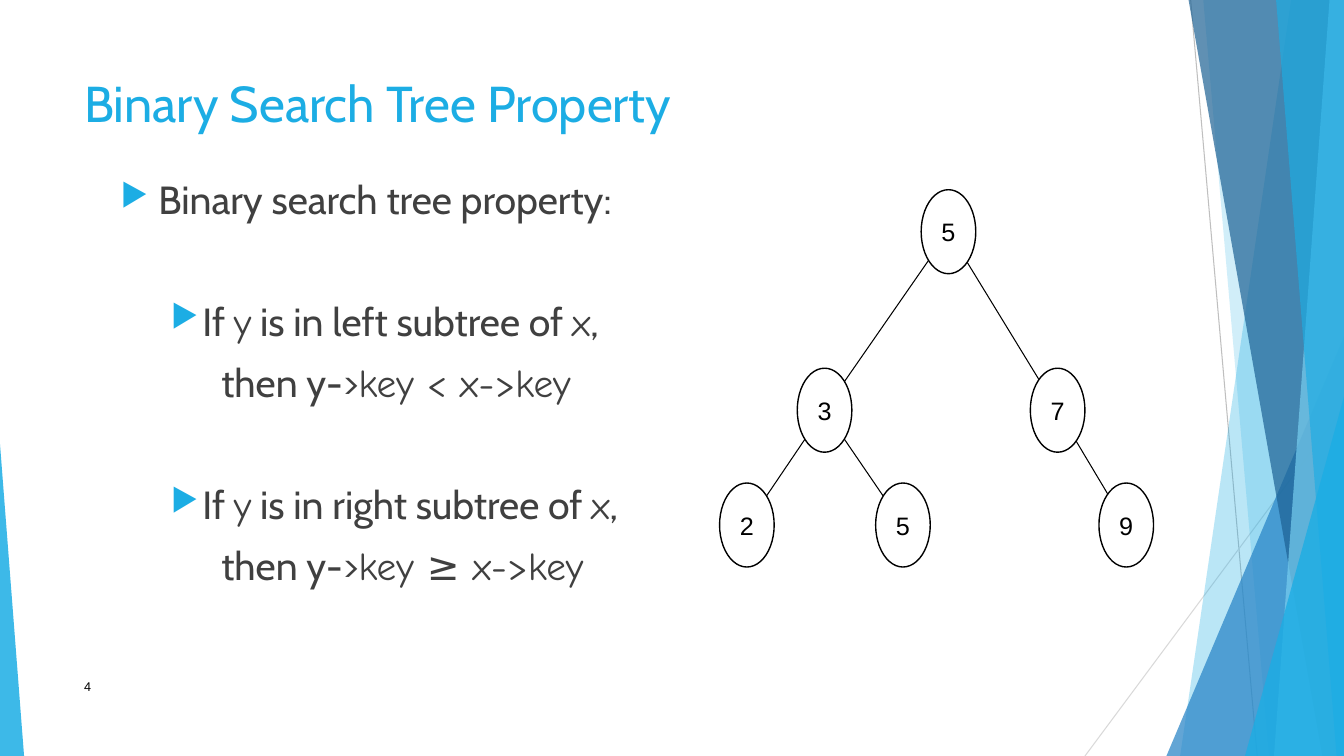
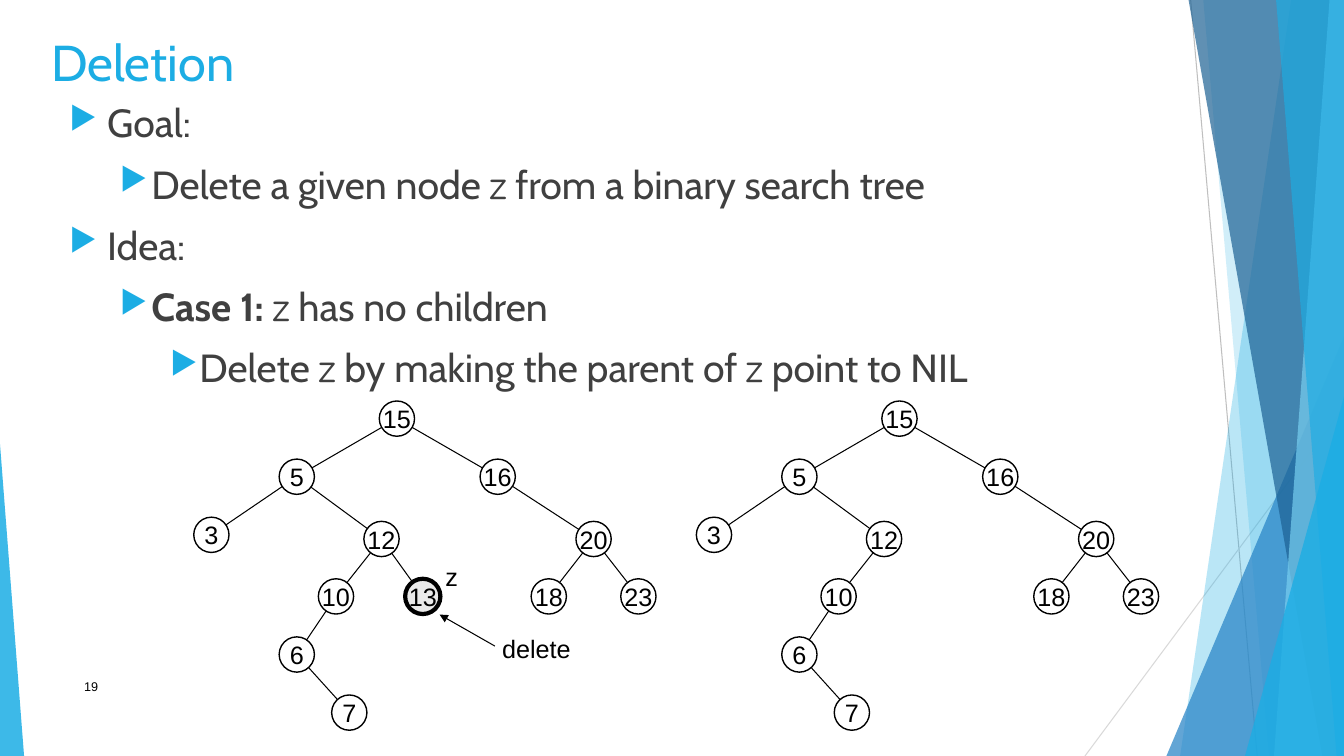
"""Build two slides on binary search trees."""
from lxml import etree
from pptx import Presentation
from pptx.dml.color import RGBColor
from pptx.enum.shapes import MSO_CONNECTOR, MSO_SHAPE
from pptx.enum.text import MSO_ANCHOR, PP_ALIGN
from pptx.oxml.ns import qn
from pptx.util import Pt

LINE = MSO_CONNECTOR.STRAIGHT
OVAL = MSO_SHAPE.OVAL
WEDGE = MSO_SHAPE.ISOSCELES_TRIANGLE
TOP = MSO_ANCHOR.TOP
MID = MSO_ANCHOR.MIDDLE
LEFT = PP_ALIGN.LEFT
MIDDLE = PP_ALIGN.CENTER

HUES = {
    "sky": "1CADE4", "blue": "2683C6", "navy": "1D6294", "pale": "77CEEF",
    "text": "404040", "black": "000000", "white": "FFFFFF",
    "mark": "EAEAEA", "rule": "BFBFBF", "faint": "D9D9D9",
}
RGB = {name: RGBColor.from_string(code) for name, code in HUES.items()}
WIDE, HIGH = 960, 540

# fmt: off
BANDS = [
    ("sky", 30, None, [(922.3, 0), (960, 0), (960, 540), (843, 540)]),
    ("sky", 20, None, [(859.5, 0), (960, 0), (960, 540), (906.5, 540)]),
    ("blue", 72, 1, (833, 240.5, 127, 300)),
    ("navy", 70, None, [(849, 0), (960, 0), (960, 540), (944.6, 540)]),
    ("pale", 70, None, [(949.7, 0), (960, 0), (960, 540), (910, 540)]),
    ("sky", 65, None, [(911.5, 0), (960, 0), (960, 540), (954.7, 540)]),
    ("sky", 80, 1, (889.2, 283.5, 70.8, 257)),
    ("sky", 85, 0, (0, 317, 17.3, 224)),
]
# fmt: on
STEPS = [(27, 27), (58.5, 22.5), (90, 18)]

SMALL = [
    ("5", 677.5, 165.5, None), ("3", 589, 293, 0), ("7", 755.5, 293, 0),
    ("2", 533.5, 375, 1), ("5", 645, 375, 1), ("9", 804.5, 375, 2),
]
LARGE = [
    ("15", 283.5, 299, None), ("5", 212, 340.5, 0), ("16", 355.5, 340.5, 0),
    ("3", 151, 382, 1), ("12", 272.5, 385, 1), ("20", 424, 385, 2),
    ("10", 240, 426, 4), ("18", 392, 426, 5), ("23", 456, 426, 5),
    ("6", 212, 467.5, 6), ("7", 249.5, 509, 9),
]
DOOMED = ("13", 302, 426, 4)

PAGES = [
    {
        "title": "Binary Search Tree Property", "page": "4",
        "head": (53, 48, 677, 104), "body": (79, 121.5, 508, 335),
        "node": (39, 60), "trees": [(0, SMALL)],
        "lines": [
            ("Binary search tree property:", {"level": 0}),
            ("If |y| is in left subtree of |x|,", {"level": 1, "gap": 53.5}),
            ("then y->|key < x->key", {"level": 2, "dot": False}),
            ("If |y| is in right subtree of |x|,", {"level": 1, "gap": 53.5}),
            ("then y->|key ≥ x->key", {"level": 2, "dot": False}),
        ],
    },
    {
        "title": "Deletion", "page": "19",
        "head": (29.5, 18.7, 677, 104), "body": (42.5, 67, 762.5, 181.5),
        "node": (25.2, 25.2), "trees": [(0, LARGE + [DOOMED]), (359, LARGE)],
        "lines": [
            ("Goal:", {"level": 0}),
            ("Delete a given node |z| from a binary search tree", {"level": 1}),
            ("Idea:", {"level": 0}),
            ("Case 1: |z| has no children", {"level": 1, "bold": True}),
            ("Delete |z| by making the parent of |z| point to NIL", {"level": 2}),
        ],
    },
]


def write(shape, text, size=18, font="Arial", other="Comic Neue", color="black",
          align=LEFT, anchor=TOP, wrap=True, inset=None, level=None, gap=0,
          dot=True, bold=False):
    frame = shape.text_frame
    frame.word_wrap, frame.vertical_anchor = wrap, anchor
    if inset is not None:
        frame.margin_left = frame.margin_right = Pt(inset)
        frame.margin_top = frame.margin_bottom = Pt(inset)
    para = frame.paragraphs[0]
    if para.runs:
        para = frame.add_paragraph()
    para.alignment, para.space_before = align, Pt(gap)
    if level is not None:
        para.level = level
        left, hang = STEPS[level]
        props = para._p.get_or_add_pPr()
        props.set("marL", str(Pt(left)))
        props.set("indent", str(-Pt(hang)))
        if dot:
            tint = etree.SubElement(props, qn("a:buClr"))
            etree.SubElement(tint, qn("a:srgbClr"), val=HUES["sky"])
            etree.SubElement(props, qn("a:buSzPct"), val="80000")
            etree.SubElement(props, qn("a:buChar"), char="▶")
    for i, part in enumerate(text.split("|")):
        run = para.add_run()
        run.text = part
        run.font.name = other if i % 2 else font
        run.font.size = Pt(size)
        run.font.bold = bold and i == 0
        run.font.color.rgb = RGB[color]


def draw(shapes, start, end, color="black", arrow=False):
    line = shapes.add_connector(LINE, *map(Pt, start + end))
    line.line.color.rgb = RGB[color]
    line.line.width = Pt(0.75)
    if arrow:
        etree.SubElement(line.line._get_or_add_ln(), qn("a:tailEnd"), type="triangle")
    etree.SubElement(line._element.spPr, qn("a:effectLst"))


deck = Presentation()
deck.slide_width, deck.slide_height = Pt(WIDE), Pt(HIGH)

for page in PAGES:
    slide = deck.slides.add_slide(deck.slide_layouts[6])
    shapes = slide.shapes

    frame = shapes.add_group_shape().shapes
    draw(frame, (850.5, 0), (898, HIGH), "rule")
    draw(frame, (WIDE, 291), (775, HIGH), "faint")
    for color, alpha, apex, form in BANDS:
        if apex is None:
            path = frame.build_freeform(Pt(form[0][0]), Pt(form[0][1]))
            path.add_line_segments([(Pt(x), Pt(y)) for x, y in form[1:]])
            band = path.convert_to_shape()
        else:
            band = frame.add_shape(WEDGE, *map(Pt, form))
            band.adjustments[0] = apex
        band.shadow.inherit = False
        band.line.fill.background()
        band.fill.solid()
        band.fill.fore_color.rgb = RGB[color]
        tint = band._element.spPr.find(".//" + qn("a:srgbClr"))
        etree.SubElement(tint, qn("a:alpha"), val=str(alpha * 1000))

    foot = shapes.add_textbox(Pt(53), Pt(476), Pt(496), Pt(29))
    write(foot, page["page"], size=9, anchor=MID)
    head = shapes.add_textbox(*map(Pt, page["head"]))
    write(head, page["title"], size=36, font="Cabin", color="sky")
    body = shapes.add_textbox(*map(Pt, page["body"]))
    for text, form in page["lines"]:
        write(body, text, **{"size": 28, "font": "Cabin", "color": "text",
                             "gap": 10, **form})

    wide, high = page["node"]
    for shift, nodes in page["trees"]:
        tree = shapes.add_group_shape().shapes
        for key, x, y, up in nodes:
            if up is not None:
                draw(tree, (nodes[up][1] + shift, nodes[up][2]), (x + shift, y))
        for node in nodes:
            key, x, y, up = node
            oval = tree.add_shape(OVAL, Pt(x + shift - wide / 2), Pt(y - high / 2),
                                  Pt(wide), Pt(high))
            oval.shadow.inherit = False
            oval.fill.solid()
            oval.fill.fore_color.rgb = RGB["mark" if node == DOOMED else "white"]
            oval.line.color.rgb = RGB["black"]
            oval.line.width = Pt(3 if node == DOOMED else 1)
            write(oval, key, align=MIDDLE, anchor=MID, wrap=False, inset=0)
        if DOOMED in nodes:
            draw(tree, (353.5, 461.5), (314, 439), arrow=True)
            for text, x, y, span in [("delete", 351.5, 448.5, 63.4), ("z", 311, 397.5, 23.8)]:
                label = tree.add_textbox(Pt(x), Pt(y), Pt(span), Pt(29))
                write(label, text, wrap=False)

deck.save("out.pptx")
